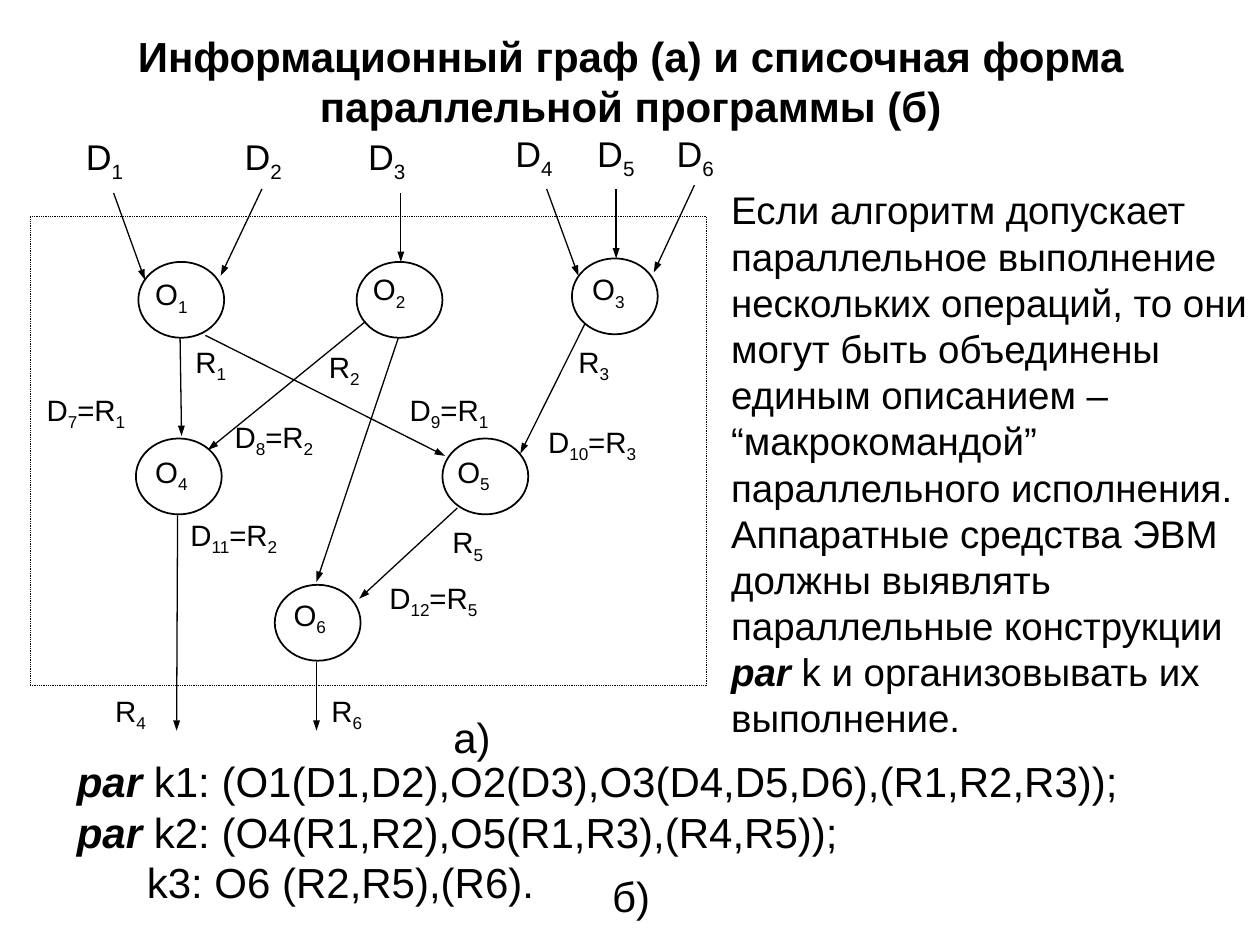
"""Build the slide with the information graph and its parallel list form."""
from itertools import groupby
from typing import NamedTuple

from lxml.etree import SubElement
from pptx import Presentation
from pptx.dml.color import RGBColor
from pptx.enum.dml import MSO_LINE
from pptx.enum.shapes import MSO_CONNECTOR, MSO_SHAPE
from pptx.enum.text import MSO_ANCHOR, MSO_AUTO_SIZE, PP_ALIGN
from pptx.oxml.ns import qn
from pptx.util import Cm, Pt

INK = "000000"
FONT = "Arial"
NODE_SIZE = (1.73, 1.53)


class Label(NamedTuple):
    """Text whose digits are subscripts, with its place in cm."""
    text: str
    left: float
    top: float
    width: float = 1.55
    size: float = 16.8


class Node(NamedTuple):
    """Operation circle and the place of its caption in cm."""
    name: str
    left: float
    top: float
    label_left: float
    label_top: float


class Edge(NamedTuple):
    """Arrow from start to end in cm."""
    x1: float
    y1: float
    x2: float
    y2: float


NODES = [
    Node("O1", 2.79, 5.28, 3.10, 5.54),
    Node("O2", 7.19, 5.28, 7.49, 5.44),
    Node("O3", 11.53, 5.21, 11.91, 5.44),
    Node("O4", 2.74, 8.84, 3.10, 9.12),
    Node("O5", 8.92, 8.84, 9.19, 9.12),
    Node("O6", 5.54, 11.79, 5.89, 12.01),
]
EDGES = [
    Edge(2.29, 3.89, 2.92, 5.64),
    Edge(5.28, 3.81, 4.45, 5.56),
    Edge(8.08, 3.89, 8.08, 5.28),
    Edge(11.02, 3.81, 11.66, 5.56),
    Edge(12.42, 3.81, 12.42, 5.21),
    Edge(14.0, 3.73, 13.18, 5.49),
    Edge(3.63, 6.81, 3.66, 8.79),
    Edge(4.14, 6.76, 8.97, 9.19),
    Edge(7.37, 6.48, 4.19, 9.07),
    Edge(8.03, 6.81, 6.38, 11.73),
    Edge(11.79, 6.53, 10.49, 9.14),
    Edge(9.22, 10.24, 7.24, 12.07),
    Edge(3.58, 10.39, 3.56, 14.73),
    Edge(6.38, 13.34, 6.38, 14.73),
]
INPUTS = [
    Label(name, left, top, size=20.4)
    for name, left, top in [
        ("D1", 1.7, 2.69), ("D2", 4.9, 2.69), ("D3", 7.39, 2.69),
        ("D4", 10.36, 2.62), ("D5", 12.01, 2.62), ("D6", 13.61, 2.62),
    ]
]
RESULTS = [
    Label("R1", 3.91, 6.91), Label("R2", 6.6, 7.01), Label("R3", 11.63, 6.91),
    Label("R4", 2.29, 13.94), Label("R5", 9.09, 10.54), Label("R6", 6.65, 13.94),
]
TRANSFERS = [
    Label("D7=R1", 0.91, 7.87, 2.46),
    Label("D8=R2", 4.7, 8.41, 2.46),
    Label("D9=R1", 8.23, 7.87, 2.46),
    Label("D10=R3", 11.02, 8.51, 3.23),
    Label("D11=R2", 3.81, 10.39, 2.77),
    Label("D12=R5", 7.82, 11.66, 3.51),
]
EXPLANATION = [
    [("Если алгоритм допускает параллельное выполнение нескольких операций, то они "
      "могут быть объединены единым описанием – “макрокомандой” "
      "параллельного исполнения.", False)],
    [("Аппаратные средства ЭВМ должны выявлять параллельные конструкции ", False),
     ("par ", True), ("k и организовывать их выполнение.", False)],
]
PROGRAM = [
    [("par ", True), ("k1: (O1(D1,D2),O2(D3),O3(D4,D5,D6),(R1,R2,R3));", False)],
    [("par ", True), ("k2: (O4(R1,R2),O5(R1,R3),(R4,R5));", False)],
    [("k3: O6 (R2,R5),(R6).", False)],
]


def rgb(value: str) -> RGBColor:
    """Turn a hex string into a colour."""
    return RGBColor.from_string(value)


def style(font, size: float, strong: bool = False) -> None:
    """Set the common font, colour and weight."""
    font.name, font.size = FONT, Pt(size)
    font.color.rgb = rgb(INK)
    font.bold = font.italic = strong


def add_frame(slide, left: float, top: float, width: float, height: float, inset: float = 0.03):
    """Add a wrapping text box and return its text frame."""
    frame = slide.shapes.add_textbox(Cm(left), Cm(top), Cm(width), Cm(height)).text_frame
    frame.word_wrap = True
    frame.margin_left = frame.margin_right = Cm(inset)
    frame.margin_top = frame.margin_bottom = Cm(inset / 2 if inset > 0.1 else inset)
    return frame


def add_passage(frame, passage: list, size: float) -> None:
    """Write paragraphs of plain and keyword runs."""
    for index, pieces in enumerate(passage):
        paragraph = frame.paragraphs[0] if index == 0 else frame.add_paragraph()
        for text, is_keyword in pieces:
            run = paragraph.add_run()
            run.text = text
            style(run.font, size, is_keyword)


def add_label(slide, label: Label) -> None:
    """Write a label with its digits lowered."""
    height = 0.91 if label.size < 20 else 1.12
    paragraph = add_frame(slide, label.left, label.top, label.width, height).paragraphs[0]
    for is_index, letters in groupby(label.text, str.isdigit):
        run = paragraph.add_run()
        run.text = "".join(letters)
        style(run.font, label.size)
        if is_index:
            run._r.get_or_add_rPr().set("baseline", "-25000")


def add_outline(slide, kind, left: float, top: float, width: float, height: float, weight: float):
    """Draw an unfilled shape and return it."""
    outline = slide.shapes.add_shape(kind, Cm(left), Cm(top), Cm(width), Cm(height))
    outline.shadow.inherit = False
    outline.fill.background()
    outline.line.color.rgb = rgb(INK)
    outline.line.width = Pt(weight)
    return outline


def add_edge(slide, edge: Edge) -> None:
    """Draw an arrow of the graph."""
    arrow = slide.shapes.add_connector(MSO_CONNECTOR.STRAIGHT, *map(Cm, edge))
    arrow.line.color.rgb = rgb(INK)
    arrow.line.width = Pt(0.75)
    SubElement(arrow.line._get_or_add_ln(), qn("a:tailEnd"), type="triangle", w="sm", len="med")
    SubElement(arrow._element.spPr, qn("a:effectLst"))


def add_title(slide, text: str) -> None:
    """Place and format the title."""
    title = slide.shapes.title
    title.left, title.top, title.width, title.height = map(Cm, (0.51, 0.43, 24.41, 2.39))
    frame = title.text_frame
    frame.text = text
    frame.auto_size = MSO_AUTO_SIZE.NONE
    frame.vertical_anchor = MSO_ANCHOR.MIDDLE
    frame.paragraphs[0].alignment = PP_ALIGN.CENTER
    font = frame.paragraphs[0].runs[0].font
    style(font, 24)
    font.bold = True


def main() -> None:
    """Build and save the slide."""
    deck = Presentation()
    deck.slide_width, deck.slide_height = Cm(25.4), Cm(19.05)
    slide = deck.slides.add_slide(deck.slide_layouts[5])
    add_title(slide, "Информационный граф (а) и списочная форма параллельной программы (б)")

    add_passage(add_frame(slide, 14.71, 3.73, 10.49, 11.51), EXPLANATION, 22)
    program = add_frame(slide, 1.3, 15.11, 23.19, 3.3, 0.25)
    add_passage(program, PROGRAM, 24)
    program.paragraphs[-1]._p.get_or_add_pPr().set("marL", str(Cm(1.41)))

    for node in NODES:
        add_outline(slide, MSO_SHAPE.OVAL, node.left, node.top, *NODE_SIZE, 1)
        add_label(slide, Label(node.name, node.label_left, node.label_top))
    for edge in EDGES:
        add_edge(slide, edge)
    border = add_outline(slide, MSO_SHAPE.RECTANGLE, 0.61, 4.37, 13.64, 9.45, 0.5)
    border.line.dash_style = MSO_LINE.ROUND_DOT
    for label in RESULTS + INPUTS + TRANSFERS:
        add_label(slide, label)
    for caption, left, top in [("а)", 8.89, 14.22), ("б)", 12.09, 17.42)]:
        add_passage(add_frame(slide, left, top, 1.6, 1.27, 0.25), [[(caption, False)]], 24)

    deck.save("out.pptx")


if __name__ == "__main__":
    main()
